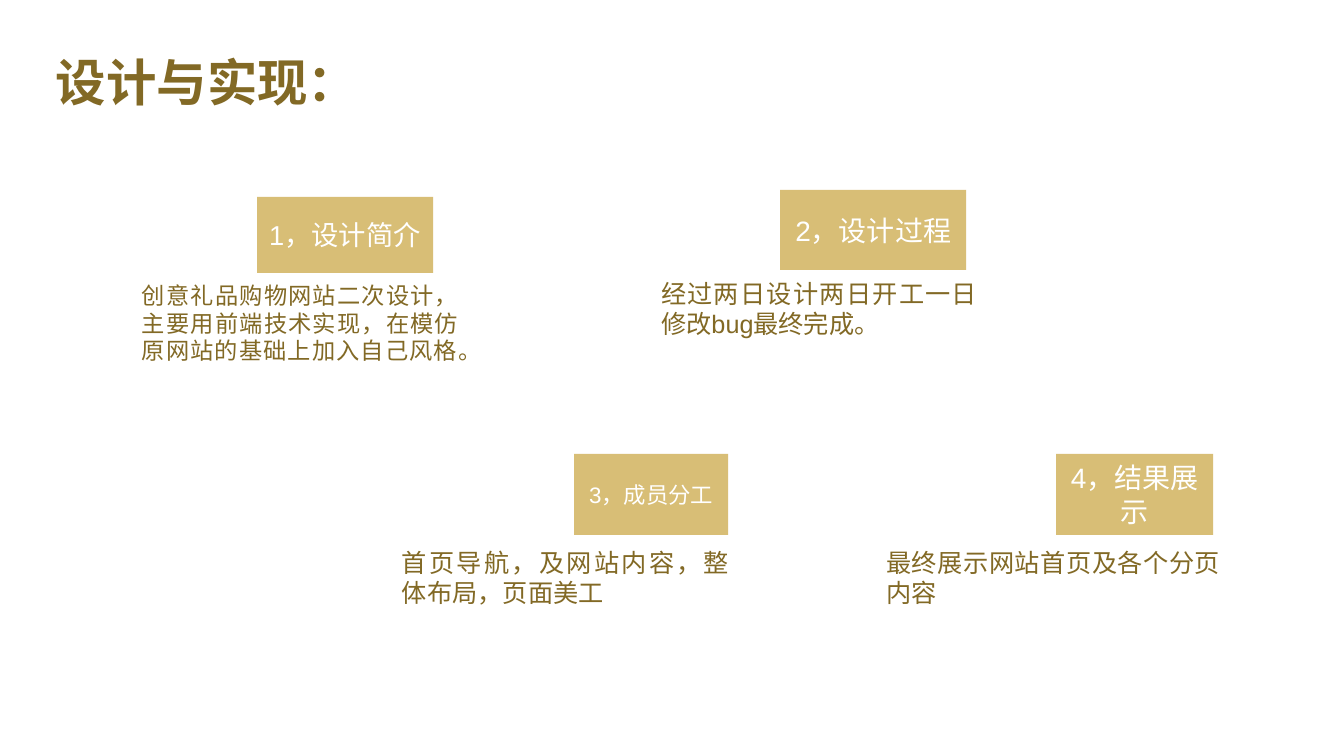
from pptx import Presentation
from pptx import util as u
from pptx.dml.color import RGBColor
from pptx.enum import lang, shapes, text

EMU_PER_PX = 914400 / 100.8
COLOURS = {"gold": "D8BE76", "brown": "826925", "white": "FFFFFF"}


class SlideBuilder:
    """Holds the style and the slide being built."""

    def __init__(self, slide, font="Arial"):
        self.slide = slide
        self.font = font

    def box(self, bounds):
        return [u.Emu(round(length * EMU_PER_PX)) for length in bounds]

    def colour(self, name):
        return RGBColor.from_string(COLOURS[name])

    def add_wording(self, shape, wording, size, colour, align, anchor, bold=False):
        frame = shape.text_frame
        frame.word_wrap = True
        frame.vertical_anchor = anchor
        paragraph = frame.paragraphs[0]
        paragraph.alignment = align
        run = paragraph.add_run()
        run.text = wording
        run.font.name = self.font
        run.font.size = u.Pt(size)
        run.font.bold = bold
        run.font.color.rgb = self.colour(colour)
        run.font.language_id = lang.MSO_LANGUAGE_ID.SIMPLIFIED_CHINESE
        return paragraph

    def title(self, bounds, wording):
        shape = self.slide.shapes.add_textbox(*self.box(bounds))
        paragraph = self.add_wording(shape, wording, 36, "brown", text.PP_ALIGN.LEFT,
                                     text.MSO_ANCHOR.MIDDLE, bold=True)
        paragraph.line_spacing = 0.9

    def label(self, bounds, wording, size):
        shape = self.slide.shapes.add_shape(
            shapes.MSO_SHAPE.RECTANGLE, *self.box(bounds))
        shape.shadow.inherit = False
        shape.fill.solid()
        shape.fill.fore_color.rgb = self.colour("gold")
        shape.line.fill.background()
        self.add_wording(shape, wording, size, "white", text.PP_ALIGN.CENTER,
                         text.MSO_ANCHOR.MIDDLE)

    def body(self, bounds, wording, size):
        shape = self.slide.shapes.add_textbox(*self.box(bounds))
        self.add_wording(shape, wording, size, "brown", text.PP_ALIGN.JUSTIFY,
                         text.MSO_ANCHOR.TOP)


# Each section: label bounds, wording and size, then the same for its body
SECTIONS = [
    ((257, 197, 176, 76), "1，设计简介", 19.5,
     (132, 276, 336, 105),
     "创意礼品购物网站二次设计，主要用前端技术实现，在模仿原网站的基础上加入自己风格。", 16.6),
    ((780, 190, 186, 80), "2，设计过程", 20,
     (651, 273, 336, 105), "经过两日设计两日开工一日修改bug最终完成。", 18),
    ((574, 454, 154, 81), "3，成员分工", 16,
     (392, 542, 347, 112), "首页导航，及网站内容，整体布局，页面美工", 18),
    ((1056, 454, 157, 81), "4，结果展示", 20,
     (876, 542, 354, 112), "最终展示网站首页及各个分页内容", 18),
]


def main():
    presentation = Presentation()
    presentation.slide_width = u.Inches(13.33)
    presentation.slide_height = u.Inches(7.5)
    builder = SlideBuilder(
        presentation.slides.add_slide(presentation.slide_layouts[6]))

    # Title
    builder.title((46, 34, 914, 102), "设计与实现：")

    # Four sections
    for label_bounds, label, label_size, body_bounds, body, body_size in SECTIONS:
        builder.label(label_bounds, label, label_size)
        builder.body(body_bounds, body, body_size)

    presentation.save("out.pptx")


if __name__ == "__main__":
    main()
